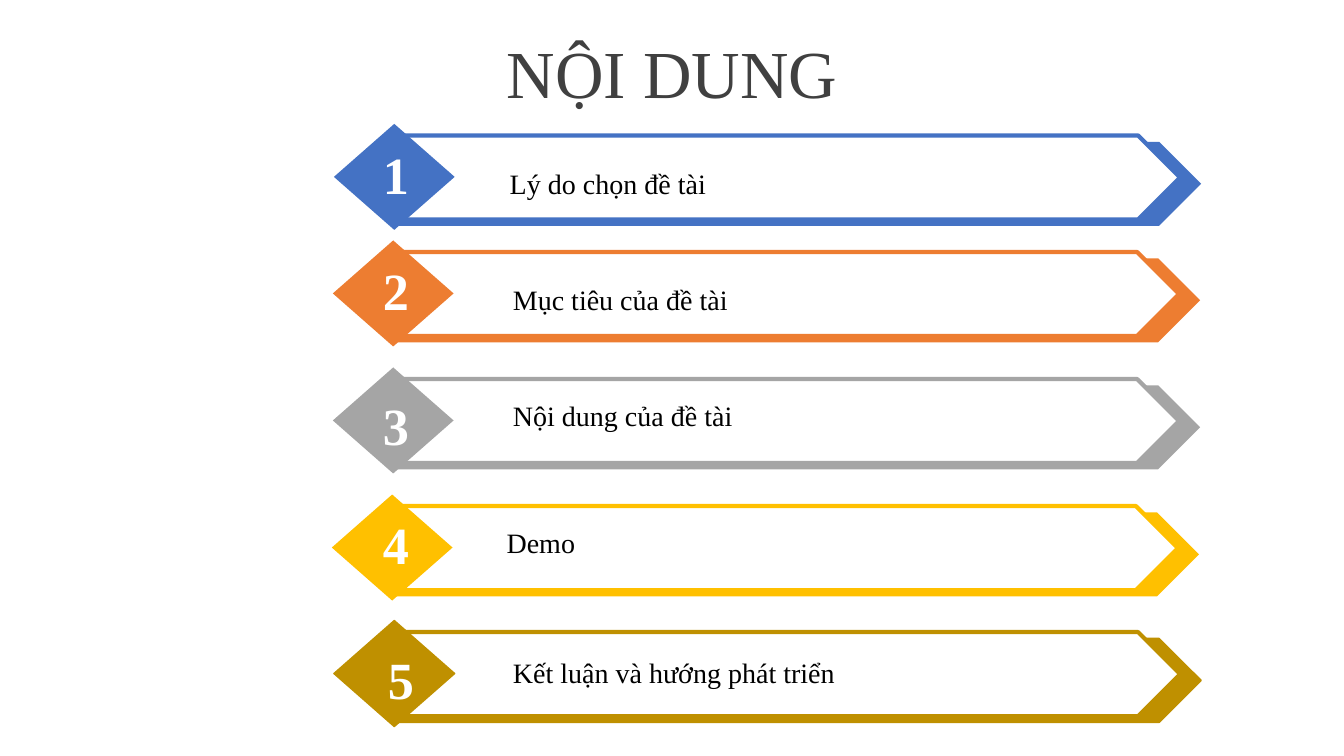
from pptx import Presentation as Deck
from pptx.dml.color import RGBColor as Rgb
from pptx.enum.shapes import MSO_SHAPE as Kind
from pptx.enum.text import MSO_ANCHOR as Anchor, PP_ALIGN as Align
from pptx.util import Pt

PX = 9525
INK = {
    "white": "FFFFFF", "black": "000000", "title": "404040",
    "blue": "4472C4", "orange": "ED7D31", "gray": "A5A5A5",
    "gold": "FFC000", "brown": "BF9000",
}
FACE = "Times New Roman"
HEAD = {"name": FACE, "size": Pt(48)}
DIGIT = {"name": FACE, "size": Pt(37.3), "bold": True}
LABEL = {"name": FACE, "size": Pt(20)}

ROWS = [
    ("blue", 318, 118, (351, 130), (476, 154), "Lý do chọn đề tài", 0),
    ("orange", 317, 229, (351, 241), (479, 264), "Mục tiêu của đề tài", 0),
    ("gray", 317, 350, (351, 369), (479, 375), "Nội dung của đề tài", 0),
    ("gold", 316, 471, (351, 483), (473, 496), "Demo", 0),
    ("brown", 318, 591, (356, 611), (479, 620), "Kết luận và hướng phát triển", 1),
]


def scale(*px):
    return [n * PX for n in px]


def color(name):
    return Rgb.from_string(INK[name])


def write(frame, text, style, ink, **props):
    frame.text = text
    for key, val in props.items():
        setattr(frame, key, val)
    font = frame.paragraphs[0].runs[0].font
    for key, val in style.items():
        setattr(font, key, val)
    font.color.rgb = color(ink)


def add_text(slide, box, text, style, ink, align, **props):
    frame = slide.shapes.add_textbox(*scale(*box)).text_frame
    write(frame, text, style, ink, word_wrap=True, **props)
    frame.paragraphs[0].alignment = align


def add_form(group, kind, box, fill, edge, width):
    form = group.shapes.add_shape(kind, *scale(*box))
    form.shadow.inherit = False
    form.fill.solid()
    form.fill.fore_color.rgb = color(fill)
    if width:
        form.line.color.rgb = color(edge)
        form.line.width = Pt(width)
    else:
        form.line.fill.background()


def add_banner(slide, ink, left, top, edge):
    group = slide.shapes.add_group_shape()
    bar = left + 60
    add_form(group, Kind.PENTAGON, (bar, top + 17, 766, 80), ink, ink, edge)
    add_form(group, Kind.PENTAGON, (bar, top + 11, 746, 80), "white", ink, 3)
    add_form(group, Kind.DIAMOND, (left, top, 115, 101), ink, ink, edge)


def add_title(slide, box, text):
    title = slide.shapes.title
    for key, val in zip(("left", "top", "width", "height"), scale(*box)):
        setattr(title, key, val)
    write(title.text_frame, text, HEAD, "title", vertical_anchor=Anchor.MIDDLE)
    title.text_frame.paragraphs[0].alignment = Align.CENTER


def main():
    deck = Deck()
    deck.slide_width, deck.slide_height = scale(1280, 720)
    slide = deck.slides.add_slide(deck.slide_layouts[5])
    add_title(slide, (0, 28, 1280, 81), "NỘI DUNG")
    for num, (ink, left, top, mark, spot, text, edge) in enumerate(ROWS, 1):
        add_banner(slide, ink, left, top, edge)
        add_text(slide, (*mark, 52, 70), str(num), DIGIT, "white", Align.CENTER,
                 vertical_anchor=Anchor.MIDDLE, margin_left=0, margin_right=0)
        add_text(slide, (*spot, 608, 42), text, LABEL, "black", Align.LEFT)
    deck.save("out.pptx")


if __name__ == "__main__":
    main()
